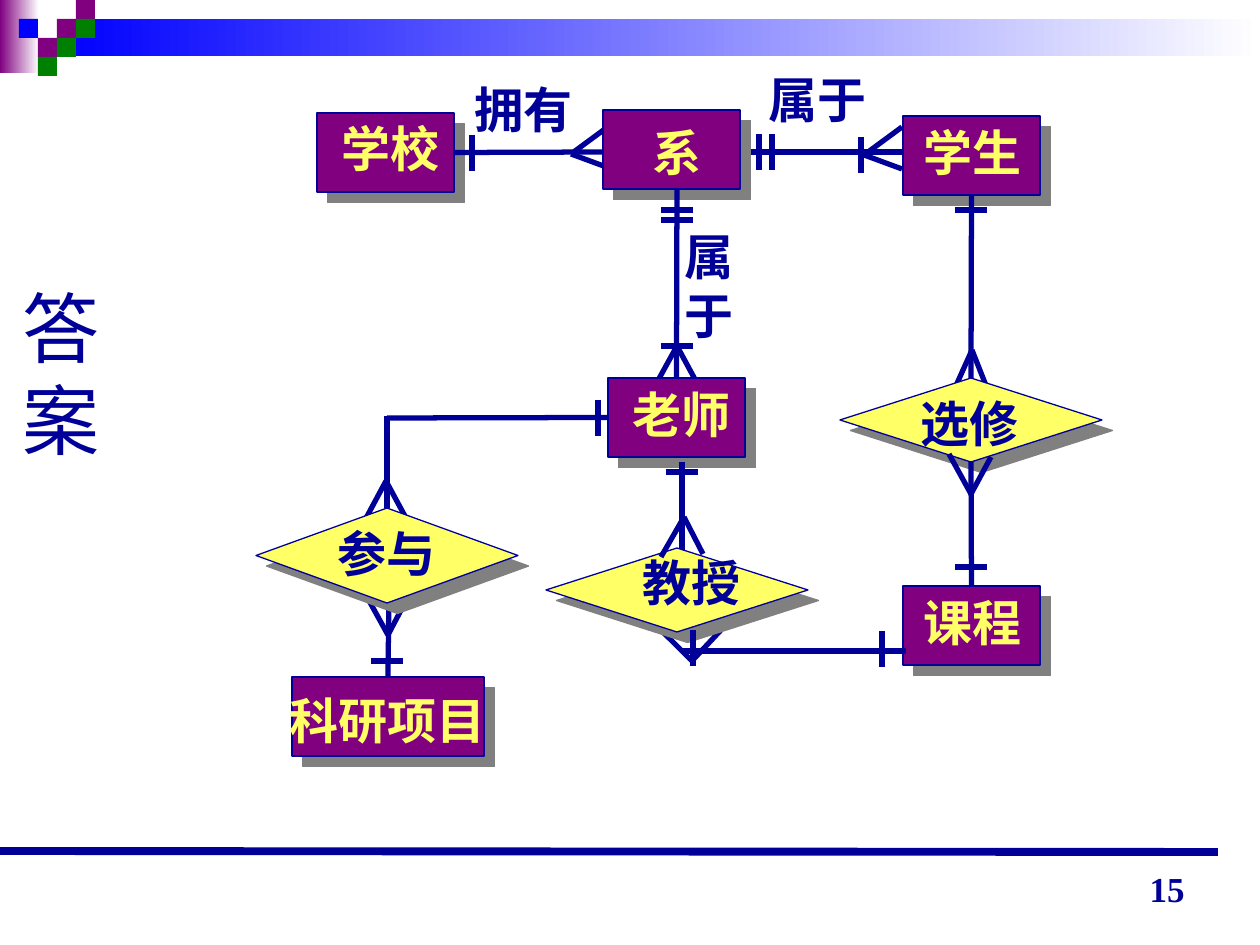
from pptx import Presentation, util as u
from pptx.dml.color import RGBColor
from pptx.enum import shapes, text
from pptx.oxml import parse_xml
from pptx.oxml.ns import nsdecls, qn
from lxml import etree

SCALE = u.Inches(1) / 126
NAVY = RGBColor(0x00, 0x00, 0x99)
PURPLE = RGBColor(0x80, 0x00, 0x80)
GREEN = RGBColor(0x00, 0x80, 0x00)
BLUE = RGBColor(0x00, 0x00, 0xFF)
YELLOW = RGBColor(0xFF, 0xFF, 0x66)
WHITE = RGBColor(0xFF, 0xFF, 0xFF)
FONT = "Times New Roman"
CELL = 19
JOIN_REACH = 2

MOSAIC = [
    (3, 1, PURPLE), (4, 0, PURPLE), (4, 1, GREEN), (2, 2, PURPLE),
    (1, 1, BLUE), (3, 2, GREEN), (2, 3, GREEN),
]

LAYERS = [
    {
        "links": [(903, 152, 735, 152), (389, 592, 388, 677), (387, 508, 387, 416)],
        "feet": [(388, 635, 367, 597, 408, 597), (386, 481, 364, 522, 406, 518)],
        "entities": [
            ("学校", (317, 113, 137, 79), (329, 112, 134, 72)),
            ("学生", (903, 116, 137, 79), (911, 116, 139, 72)),
            ("科研项目", (292, 677, 192, 79), (277, 684, 242, 72)),
        ],
        "relations": [("参与", (256, 508, 262, 95), (325, 517, 147, 72))],
    },
    {
        "links": [(972, 194, 972, 378), (602, 152, 454, 152)],
        "feet": [(972, 350, 955, 388, 987, 388), (571, 154, 609, 126, 609, 168),
                 (864, 155, 902, 127, 902, 169)],
        "flat_bars": [(387, 661), (971, 210)],
        "upright_bars": [(472, 153), (759, 152), (772, 152), (861, 155), (598, 418)],
        "entities": [
            ("系", (603, 110, 137, 79), (640, 116, 74, 72)),
            ("课程", (903, 586, 137, 79), (911, 586, 149, 72)),
        ],
        "relations": [("选修", (840, 378, 262, 84), (908, 387, 151, 72))],
    },
    {
        "links": [(972, 461, 972, 585), (677, 189, 677, 379)],
        "feet": [(971, 494, 949, 454, 991, 457), (677, 346, 655, 386, 697, 383)],
        "flat_bars": [(971, 567), (677, 210), (677, 220), (677, 346)],
        "entities": [("老师", (608, 378, 137, 79), (620, 378, 136, 72))],
    },
    {
        "links": [(387, 418, 610, 418), (682, 462, 682, 630), (683, 651, 906, 651)],
        "feet": [(692, 661, 721, 630, 661, 630)],
        "flat_bars": [(682, 472)],
        "upright_bars": [(882, 649)],
        "relations": [("教授", (546, 548, 262, 84), (630, 546, 136, 72))],
    },
    {
        "feet": [(684, 517, 661, 557, 703, 554)],
        "upright_bars": [(693, 648)],
    },
]

LABELS = [
    ("拥有", (462, 73, 136, 72)),
    ("属于", (756, 63, 126, 72)),
    ("属于", (672, 220, 94, 131)),
]


def px(*lengths):
    return [round(length * SCALE) for length in lengths]


def apply(target, values):
    for name, value in values.items():
        setattr(target, name, value)


def add_text(page, words, place, color=NAVY, size=28, bold=True,
             anchor=text.MSO_ANCHOR.TOP, align=text.PP_ALIGN.LEFT):
    box = page.shapes.add_textbox(*px(*place))
    apply(box.text_frame, {"word_wrap": True, "vertical_anchor": anchor})
    para = box.text_frame.paragraphs[0]
    para.alignment = align
    span = para.add_run()
    span.text = words
    apply(span.font, {"name": FONT, "size": u.Pt(size), "bold": bold})
    span.font.color.rgb = color


def add_line(page, ends, width=3):
    line = page.shapes.add_connector(shapes.MSO_CONNECTOR.STRAIGHT, *px(*ends))
    line.line.width = u.Pt(width)
    line.line.color.rgb = NAVY
    etree.SubElement(line._element.spPr, qn("a:effectLst"))
    return line


def add_foot(page, tip_x, tip_y, *toes):
    for toe in (toes[:2], toes[2:]):
        add_line(page, (tip_x, tip_y, *toe))


def add_block(page, place, color, fade=False):
    block = page.shapes.add_shape(shapes.MSO_SHAPE.RECTANGLE, *px(*place))
    block.shadow.inherit = False
    block.line.fill.background()
    if fade:
        block.fill.gradient()
        block.fill.gradient_angle = 0
        for stop, shade in zip(block.fill.gradient_stops, (color, WHITE)):
            stop.color.rgb = shade
    else:
        block.fill.solid()
        block.fill.fore_color.rgb = color


def add_node(page, kind, words, place, text_place, fill, ink):
    node = page.shapes.add_shape(kind, *px(*place))
    node.fill.solid()
    node.fill.fore_color.rgb = fill
    node.line.color.rgb = NAVY
    node.line.width = u.Pt(0.75)
    node.shadow.inherit = False
    node._element.spPr.find(qn("a:effectLst")).append(parse_xml(
        f'<a:outerShdw {nsdecls("a")} dist="{u.Pt(8.5)}" dir="2700000" '
        'algn="ctr" rotWithShape="0"><a:srgbClr val="808080"/></a:outerShdw>'))
    add_text(page, words, text_place, ink)
    return node


def add_layer(page, layer):
    links = [add_line(page, ends) for ends in layer.get("links", [])]
    for foot in layer.get("feet", []):
        add_foot(page, *foot)
    for x, y in layer.get("flat_bars", []):
        add_line(page, (x - 16, y, x + 16, y))
    for x, y in layer.get("upright_bars", []):
        add_line(page, (x, y - 18, x, y + 18))
    nodes = [add_node(page, shapes.MSO_SHAPE.RECTANGLE, *entity, PURPLE, YELLOW)
             for entity in layer.get("entities", [])]
    nodes += [add_node(page, shapes.MSO_SHAPE.FLOWCHART_DECISION, *relation, YELLOW, NAVY)
              for relation in layer.get("relations", [])]
    return links, nodes


def join(links, nodes):
    reach = JOIN_REACH * SCALE + 1
    for node in nodes:
        left, top, wide, high = node.left, node.top, node.width, node.height
        sites = [(left + wide / 2, top), (left, top + high / 2),
                 (left + wide / 2, top + high), (left + wide, top + high / 2)]
        for link in links:
            for site, (x, y) in enumerate(sites):
                if max(abs(link.begin_x - x), abs(link.begin_y - y)) <= reach:
                    link.begin_connect(node, site)
                if max(abs(link.end_x - x), abs(link.end_y - y)) <= reach:
                    link.end_connect(node, site)


def add_frame(page):
    add_block(page, (0, 0, 39, 73), PURPLE, fade=True)
    add_block(page, (57, 19, 1203, 37), BLUE, fade=True)
    for column, row, color in MOSAIC:
        add_block(page, (column * CELL, row * CELL, CELL, CELL), color)
    add_line(page, (0, 851, 1218, 852), width=4.5)
    add_text(page, "答案", (10, 252, 94, 242), size=44, bold=False,
             anchor=text.MSO_ANCHOR.MIDDLE)
    add_text(page, "15", (903, 853, 294, 63), size=20,
             anchor=text.MSO_ANCHOR.BOTTOM, align=text.PP_ALIGN.RIGHT)


def main():
    deck = Presentation()
    apply(deck, {"slide_width": u.Inches(10), "slide_height": u.Inches(7.5)})
    page = deck.slides.add_slide(deck.slide_layouts[6])
    add_frame(page)
    links, nodes = [], []
    for layer in LAYERS:
        new_links, new_nodes = add_layer(page, layer)
        links += new_links
        nodes += new_nodes
    join(links, nodes)
    for words, place in LABELS:
        add_text(page, words, place)
    deck.save("out.pptx")


if __name__ == "__main__":
    main()
